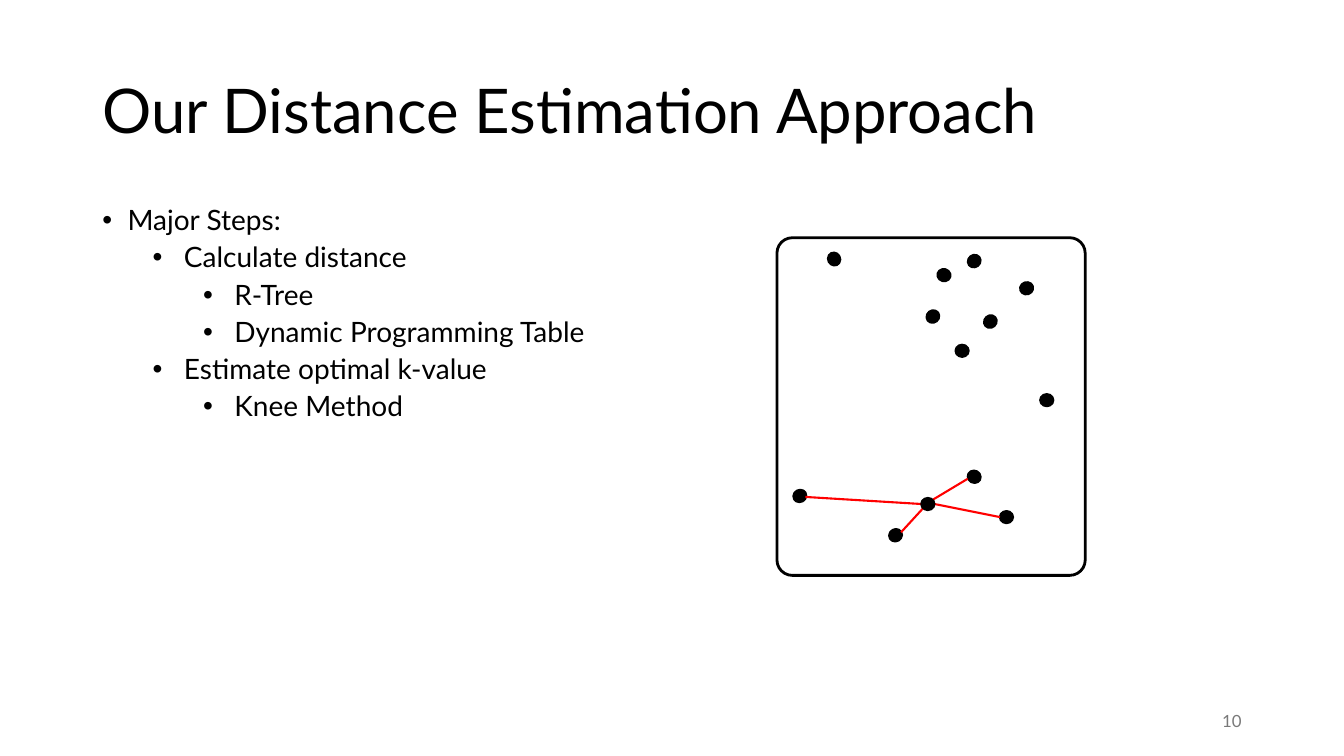
from lxml.etree import SubElement
from pptx import Presentation
from pptx.dml.color import RGBColor
from pptx.enum.shapes import MSO_CONNECTOR as Connector, MSO_SHAPE as Shape
from pptx.enum.text import MSO_ANCHOR as Anchor, PP_ALIGN as Align
from pptx.oxml.ns import qn
from pptx.util import Inches, Pt

COLUMNS, ROWS = 160, 90
INDENTS = [(0.25, 0.25), (0.81, 0.31), (1.31, 0.31)]  # margin and hang per level

STEPS = [
    (0, "Major Steps:"),
    (1, "Calculate distance"),
    (2, "R-Tree"),
    (2, "Dynamic Programming Table"),
    (1, "Estimate optimal k-value"),
    (2, "Knee Method"),
]

# Point centres: column, row, rotation in degrees
POINTS = [
    (124.62, 47.64, 0), (99.3, 30.84, 62.6), (95.22, 59.04, 331.4),
    (112.38, 32.76, 15.4), (115.98, 56.76, 28.1), (106.62, 63.72, 329.7),
    (119.82, 61.56, 0), (115.98, 31.08, 321.9), (122.22, 34.32, 341.8),
    (117.9, 38.28, 318.5), (111.06, 37.68, 321.9), (114.54, 41.76, 0),
]
HUB = (110.46, 60, 0)

# Links from the hub to its neighbours: start and end
LINKS = [
    ((109.92, 60.48), (107.28, 63.36)),
    ((111, 59.52), (115.2, 57)),
    ((111.24, 60), (119.04, 61.56)),
    ((109.68, 60), (95.88, 59.16)),
]


def color(value):
    return RGBColor.from_string(value)


def apply(target, values):
    for name, value in values.items():
        setattr(target, name, value)


class SlideBuilder:
    """Places elements on a slide by columns and rows of a fine grid."""

    font_name, ink, accent, muted = "Lato", "000000", "FF0000", "797979"
    dot_size = (1.56, 1.44)

    def __init__(self, presentation):
        self.cell_width = presentation.slide_width / COLUMNS
        self.cell_height = presentation.slide_height / ROWS
        self.slide = presentation.slides.add_slide(presentation.slide_layouts[6])

    def to_slide(self, *lengths):
        """Turn alternating columns and rows into slide lengths."""
        cells = (self.cell_width, self.cell_height)
        return [round(length * cells[i % 2]) for i, length in enumerate(lengths)]

    def frame(self, box, anchor):
        text_frame = self.slide.shapes.add_textbox(*self.to_slide(*box)).text_frame
        apply(text_frame, {"word_wrap": True, "vertical_anchor": anchor})
        return text_frame

    def fill_paragraph(self, paragraph, text, size, text_color=None, **layout):
        apply(paragraph, layout)
        run = paragraph.add_run()
        run.text = text
        apply(run.font, {"name": self.font_name, "size": Pt(size)})
        run.font.color.rgb = color(text_color or self.ink)

    def text(self, box, text, size, text_color=None, **layout):
        text_frame = self.frame(box, Anchor.MIDDLE)
        self.fill_paragraph(text_frame.paragraphs[0], text, size, text_color, **layout)

    def bullets(self, box, items, size):
        text_frame = self.frame(box, Anchor.TOP)
        for index, (level, text) in enumerate(items):
            paragraph = text_frame.add_paragraph() if index else text_frame.paragraphs[0]
            properties = paragraph._p.get_or_add_pPr()
            margin, hang = INDENTS[level]
            properties.set("marL", str(Inches(margin)))
            properties.set("indent", str(-Inches(hang)))
            SubElement(properties, qn("a:buFont"), typeface="Arial")
            SubElement(properties, qn("a:buChar"), char="•")
            self.fill_paragraph(paragraph, text, size, level=level, line_spacing=0.9,
                                space_before=Pt(5 if index else 0))

    def outline(self, line, line_color, width):
        line.color.rgb = color(line_color)
        line.width = Pt(width)

    def shape(self, kind, box, width, filled=True):
        shape = self.slide.shapes.add_shape(kind, *self.to_slide(*box))
        shape.shadow.inherit = False
        if filled:
            shape.fill.solid()
            shape.fill.fore_color.rgb = color(self.ink)
        else:
            shape.fill.background()
        self.outline(shape.line, self.ink, width)
        return shape

    def dot(self, column, row, rotation):
        width, height = self.dot_size
        box = (column - width / 2, row - height / 2, width, height)
        self.shape(Shape.OVAL, box, 1.5).rotation = rotation

    def panel(self, box, corner):
        self.shape(Shape.ROUNDED_RECTANGLE, box, 2, filled=False).adjustments[0] = corner

    def link(self, start, end):
        connector = self.slide.shapes.add_connector(
            Connector.STRAIGHT, *self.to_slide(*start, *end))
        self.outline(connector.line, self.accent, 1.5)
        SubElement(connector._element.spPr, qn("a:effectLst"))


def main():
    presentation = Presentation()
    apply(presentation, {"slide_width": Inches(13.33), "slide_height": Inches(7.5)})
    builder = SlideBuilder(presentation)
    builder.text((11, 4.8, 138, 17.4), "Our Distance Estimation Approach", 44,
                 line_spacing=0.9)
    builder.bullets((11, 24, 59.9, 57.1), STEPS, 20)
    for point in POINTS:
        builder.dot(*point)
    builder.panel((92.5, 28.3, 36.7, 40.2), 0.05)
    for start, end in LINKS:
        builder.link(start, end)
    builder.dot(*HUB)
    builder.text((113, 83.4, 36, 4.8), "10", 12, builder.muted, alignment=Align.RIGHT)
    presentation.save("out.pptx")


if __name__ == "__main__":
    main()
